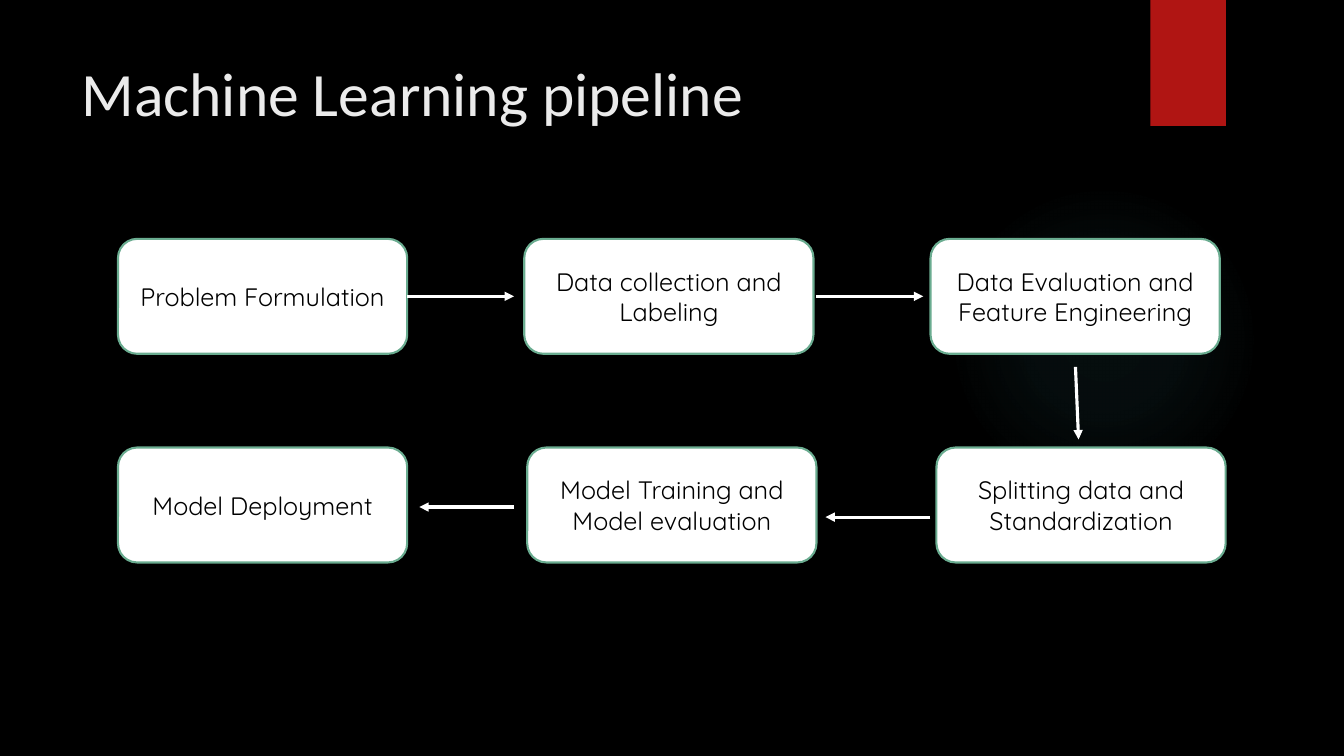
"""Build the machine learning pipeline slide."""
from dataclasses import dataclass

from lxml import etree
from pptx import Presentation
from pptx.dml.color import RGBColor
from pptx.enum.shapes import MSO_CONNECTOR, MSO_SHAPE
from pptx.enum.text import MSO_ANCHOR, PP_ALIGN
from pptx.oxml.ns import qn
from pptx.util import Inches, Pt

ELLIPSE, RECTANGLE, ROUNDED = MSO_SHAPE.OVAL, MSO_SHAPE.RECTANGLE, MSO_SHAPE.ROUNDED_RECTANGLE
STRAIGHT = MSO_CONNECTOR.STRAIGHT
LEFT, CENTER = PP_ALIGN.LEFT, PP_ALIGN.CENTER
TOP, MIDDLE = MSO_ANCHOR.TOP, MSO_ANCHOR.MIDDLE
RIGHT_SIDE = 3


@dataclass(frozen=True)
class Theme:
    background: str = "000000"
    glow: str = "50B9C1"
    ribbon: str = "B01513"
    heading: str = "EBEBEB"
    step_fill: str = "FFFFFF"
    step_edge: str = "6AAC90"
    step_text: str = "000000"
    arrow: str = "FFFFFF"
    heading_font: str = "Calibri"
    step_font: str = "Quicksand"
    heading_size: float = 44
    step_size: float = 18
    edge_width: float = 1.5
    arrow_width: float = 2.25


def rgb(value):
    return RGBColor.from_string(value)


def write(frame, text, *, font, size, color, align=LEFT, anchor=TOP):
    frame.word_wrap = True
    frame.vertical_anchor = anchor
    paragraph = frame.paragraphs[0]
    paragraph.alignment = align
    run = paragraph.add_run()
    run.text = text
    run.font.name = font
    run.font.size = Pt(size)
    run.font.color.rgb = rgb(color)


class Canvas:
    """Places styled elements, with lengths in percent of the slide's size."""

    def __init__(self, deck, theme):
        self.width, self.height = deck.slide_width, deck.slide_height
        self.theme = theme
        self.slide = deck.slides.add_slide(deck.slide_layouts[6])
        self.shapes = self.slide.shapes
        backdrop = self.slide.background.fill
        backdrop.solid()
        backdrop.fore_color.rgb = rgb(theme.background)

    def place(self, x, y):
        return round(self.width * x / 100), round(self.height * y / 100)

    def block(self, kind, x, y, width, height, fill=None):
        block = self.shapes.add_shape(kind, *self.place(x, y), *self.place(width, height))
        block.shadow.inherit = False
        block.line.fill.background()
        if fill:
            block.fill.solid()
            block.fill.fore_color.rgb = rgb(fill)
        else:
            block.fill.background()
        return block

    def glow(self, x, y, width, height, stops):
        glow = self.block(ELLIPSE, x, y, width, height)
        gradient = etree.Element(qn("a:gradFill"), rotWithShape="1")
        stop_list = etree.SubElement(gradient, qn("a:gsLst"))
        for position, opacity in stops:
            stop = etree.SubElement(stop_list, qn("a:gs"), pos=str(position * 1000))
            color = etree.SubElement(stop, qn("a:srgbClr"), val=self.theme.glow)
            etree.SubElement(color, qn("a:alpha"), val=str(opacity * 1000))
        circle = etree.SubElement(gradient, qn("a:path"), path="circle")
        etree.SubElement(circle, qn("a:fillToRect"), l="50000", t="50000", r="50000", b="50000")
        properties = glow._element.spPr
        properties.replace(properties.find(qn("a:noFill")), gradient)

    def heading(self, text, x, y, width, height):
        heading = self.shapes.add_textbox(*self.place(x, y), *self.place(width, height))
        write(heading.text_frame, text, font=self.theme.heading_font,
              size=self.theme.heading_size, color=self.theme.heading)

    def step(self, text, x, y, width, height):
        step = self.block(ROUNDED, x, y, width, height, self.theme.step_fill)
        step.line.color.rgb = rgb(self.theme.step_edge)
        step.line.width = Pt(self.theme.edge_width)
        write(step.text_frame, text, font=self.theme.step_font, size=self.theme.step_size,
              color=self.theme.step_text, align=CENTER, anchor=MIDDLE)
        return step

    def arrow(self, start, end):
        arrow = self.shapes.add_connector(STRAIGHT, *self.place(*start), *self.place(*end))
        arrow.line.color.rgb = rgb(self.theme.arrow)
        arrow.line.width = Pt(self.theme.arrow_width)
        etree.SubElement(arrow.line._get_or_add_ln(), qn("a:tailEnd"), type="triangle")
        etree.SubElement(arrow._element.spPr, qn("a:effectLst"))
        return arrow


STEP_LEFT, STEP_TOP = 8.78, 31.6
STEP_WIDTH, STEP_HEIGHT = 21.52, 15.2
ROW_PITCH = 27.6
STEP_ROWS = [
    (30.23, ["Problem Formulation", "Data collection and Labeling",
             "Data Evaluation and Feature Engineering"]),
    (30.45, ["Model Deployment", "Model Training and Model evaluation",
             "Splitting data and Standardization"]),
]
UPPER_MIDDLE = STEP_TOP + STEP_HEIGHT / 2
FIRST_ARROW = ((30.3, UPPER_MIDDLE), (38.25, UPPER_MIDDLE))
LATER_ARROWS = [
    ((60.75, UPPER_MIDDLE), (68.7, UPPER_MIDDLE)),
    ((80.02, 48.53), (80.25, 58.13)),
    ((69.22, 68.4), (61.42, 68.4)),
    ((38.25, 67.07), (31.2, 67.07)),
]


def main():
    deck = Presentation()
    deck.slide_width, deck.slide_height = Inches(13.33), Inches(7.5)
    canvas = Canvas(deck, Theme())
    canvas.glow(70.6, 24.4, 23.1, 41.07, [(0, 7), (36, 6), (69, 0)])
    canvas.block(RECTANGLE, 85.6, 0, 5.62, 16.67, canvas.theme.ribbon)
    canvas.heading("Machine Learning pipeline", 5.32, 6.67, 77.2, 16.8)

    steps = {}
    for row, (pitch, names) in enumerate(STEP_ROWS):
        for column, name in enumerate(names):
            steps[name] = canvas.step(name, STEP_LEFT + column * pitch,
                                      STEP_TOP + row * ROW_PITCH, STEP_WIDTH, STEP_HEIGHT)

    canvas.arrow(*FIRST_ARROW).begin_connect(steps["Problem Formulation"], RIGHT_SIDE)
    for start, end in LATER_ARROWS:
        canvas.arrow(start, end)
    deck.save("out.pptx")


if __name__ == "__main__":
    main()
